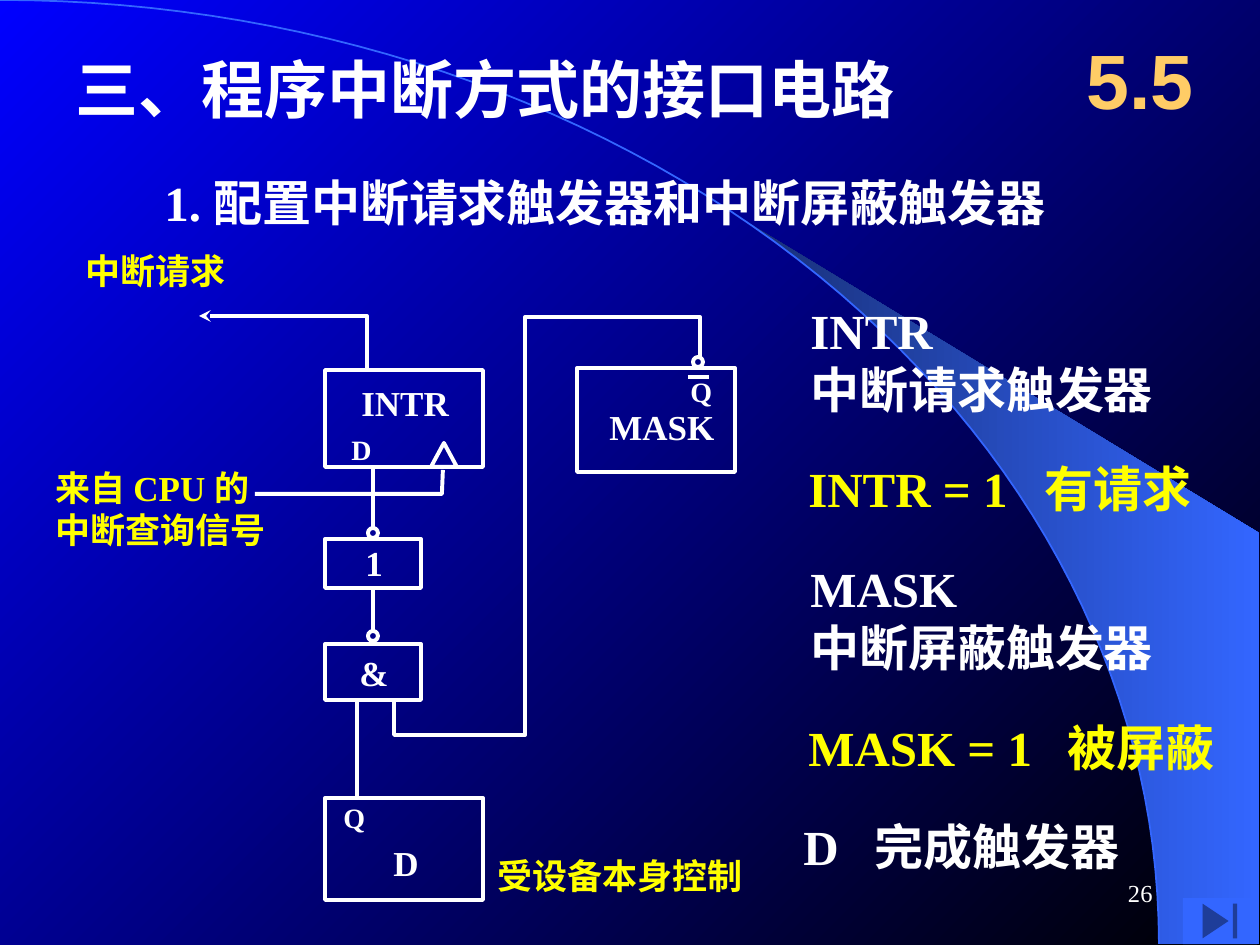
from dataclasses import dataclass
from math import asin, cos, pi, sin

from lxml import etree
from pptx import Presentation
from pptx.dml.color import RGBColor
from pptx.enum.shapes import MSO_CONNECTOR, MSO_SHAPE
from pptx.enum.text import MSO_ANCHOR, MSO_AUTO_SIZE, PP_ALIGN
from pptx.oxml.ns import qn
from pptx.util import Pt

PX = 914400 / 126
SLIDE_W, SLIDE_H = 1260, 945
ARC_W, ARC_H = 1159, 944


@dataclass(frozen=True)
class Theme:
    white: str = "FFFFFF"
    yellow: str = "FFFF00"
    gold: str = "FFCC66"
    blue: str = "3366FF"
    navy: str = "182F76"
    back_start: str = "0000FF"
    back_end: str = "000000"
    serif: str = "Times New Roman"
    sans: str = "Arial"
    title: int = 36
    chapter: int = 44
    heading: int = 28
    label: int = 20
    pin: int = 16
    number: int = 14
    wire: float = 2.25


T = Theme()


@dataclass(frozen=True)
class Label:
    text: str
    x: int
    y: int
    w: int
    h: int
    size: int = T.label
    color: str = T.white
    font: str = T.serif
    bold: bool = True
    align: PP_ALIGN = PP_ALIGN.LEFT
    anchor: MSO_ANCHOR = MSO_ANCHOR.TOP
    tab: int = 0


@dataclass(frozen=True)
class Part:
    x: int
    y: int
    w: int
    h: int
    kind: MSO_SHAPE = MSO_SHAPE.RECTANGLE


def bubble(x: int, y: int) -> Part:
    return Part(x, y, 10, 10, MSO_SHAPE.OVAL)


TITLE = Label("三、程序中断方式的接口电路", 63, 44, 870, 88, T.title)
LABELS = [
    Label("5.5", 1061, 21, 158, 116, T.chapter, T.gold, T.sans,
          align=PP_ALIGN.CENTER, anchor=MSO_ANCHOR.MIDDLE),
    Label("1. 配置中断请求触发器和中断屏蔽触发器", 152, 166, 950, 72, T.heading),
    Label("中断请求", 73, 243, 180, 55, color=T.yellow),
    Label("来自 CPU 的\n中断查询信号", 43, 460, 250, 97, color=T.yellow),
    Label("受设备本身控制", 485, 848, 285, 55, color=T.yellow),
    Label("INTR", 349, 375, 125, 55),
    Label("D", 339, 426, 50, 47, T.pin),
    Label("MASK", 597, 399, 138, 55),
    Label("Q", 678, 368, 50, 47, T.pin),
    Label("1", 353, 535, 45, 55),
    Label("&", 347, 645, 60, 55),
    Label("Q", 331, 794, 50, 47, T.pin),
    Label("D", 381, 835, 55, 55),
    Label("INTR\n中断请求触发器", 798, 294, 385, 131, T.heading),
    Label("INTR = 1\t有请求", 796, 452, 464, 72, T.heading, T.yellow, tab=236),
    Label("MASK = 1\t被屏蔽", 796, 711, 464, 72, T.heading, T.yellow, tab=259),
    Label("MASK\n中断屏蔽触发器", 798, 552, 385, 131, T.heading),
    Label("D\t完成触发器", 791, 810, 360, 72, T.heading, tab=71),
    Label("26", 903, 861, 262, 63, T.number, bold=False,
          align=PP_ALIGN.RIGHT, anchor=MSO_ANCHOR.MIDDLE),
]
PARTS = {
    "intr": Part(325, 370, 158, 97),
    "clock": Part(431, 443, 26, 24, MSO_SHAPE.ISOSCELES_TRIANGLE),
    "mask": Part(577, 368, 158, 104),
    "mask_bubble": bubble(693, 357),
    "not": Part(325, 539, 96, 49),
    "not_bubble": bubble(368, 528),
    "and": Part(325, 644, 96, 56),
    "and_bubble": bubble(368, 631),
    "done": Part(325, 798, 158, 102),
}
QUERY_WIRE = [(255, 494), (442, 494), (443, 470)]
MASK_WIRE = [(394, 700), (394, 735), (525, 735), (525, 317), (700, 317), (700, 358)]
REQUEST_WIRE = [(367, 369), (367, 316), (199, 316)]


def px(n: float) -> int:
    return round(n * PX)


def rgb(color: str) -> RGBColor:
    return RGBColor.from_string(color)


def set_gradient(fill, start: str, end: str, angle: int) -> None:
    fill.gradient()
    fill.gradient_angle = angle
    for stop, color in zip(fill.gradient_stops, (start, end)):
        stop.color.rgb = rgb(color)


def set_line(sp, color: str = T.white, width: float = T.wire) -> None:
    sp.line.color.rgb = rgb(color)
    sp.line.width = Pt(width)


def write(sp, label: Label) -> None:
    sp.left, sp.top, sp.width, sp.height = map(px, (label.x, label.y, label.w, label.h))
    tf = sp.text_frame
    tf.text = label.text
    tf.word_wrap = True
    tf.auto_size = MSO_AUTO_SIZE.NONE
    tf.vertical_anchor = label.anchor
    for p in tf.paragraphs:
        p.alignment = label.align
        if label.tab:
            tabs = etree.SubElement(p._p.get_or_add_pPr(), qn("a:tabLst"))
            etree.SubElement(tabs, qn("a:tab"), pos=str(px(label.tab)), algn="l")
        for r in p.runs:
            r.font.name = label.font
            r.font.size = Pt(label.size)
            r.font.bold = label.bold
            r.font.color.rgb = rgb(label.color)


def add_part(shapes, part: Part):
    sp = shapes.add_shape(part.kind, *map(px, (part.x, part.y, part.w, part.h)))
    sp.shadow.inherit = False
    sp.fill.background()
    set_line(sp)
    return sp


def add_path(shapes, points: list, close: bool = False):
    first, *rest = [(px(x), px(y)) for x, y in points]
    builder = shapes.build_freeform(*first)
    builder.add_line_segments(rest, close=close)
    sp = builder.convert_to_shape()
    sp.shadow.inherit = False
    sp.fill.background()
    set_line(sp)
    return sp


def add_wire(shapes, x1: int, y1: int, x2: int, y2: int):
    line = shapes.add_connector(MSO_CONNECTOR.STRAIGHT, *map(px, (x1, y1, x2, y2)))
    etree.SubElement(line._element.spPr, qn("a:effectLst"))
    set_line(line)
    return line


def arc_points(start: float, steps: int = 60) -> list:
    """Points of the quarter ellipse from angle start down to its right end."""
    angles = [start + (pi / 2 - start) * i / steps for i in range(steps + 1)]
    return [(ARC_W * sin(a), ARC_H * (1 - cos(a))) for a in angles]


def draw_backdrop(slide) -> None:
    set_gradient(slide.background.fill, T.back_start, T.back_end, 315)
    swoosh = add_path(slide.shapes, arc_points(asin(742 / ARC_W))
                      + [(1259, 944), (1259, 533)], close=True)
    set_gradient(swoosh.fill, T.navy, T.blue, 0)
    swoosh.line.fill.background()
    set_line(add_path(slide.shapes, arc_points(0)), T.blue, 1)


def draw_circuit(shapes) -> None:
    parts = {name: add_part(shapes, part) for name, part in PARTS.items()}
    add_wire(shapes, 357, 700, 357, 798)
    add_wire(shapes, 688, 377, 709, 377)
    add_wire(shapes, 373, 467, 373, 528).end_connect(parts["not_bubble"], 0)
    inverted = add_wire(shapes, 373, 588, 373, 631)
    inverted.begin_connect(parts["not"], 2)
    inverted.end_connect(parts["and_bubble"], 0)
    add_path(shapes, QUERY_WIRE)
    add_path(shapes, MASK_WIRE)
    request = add_path(shapes, REQUEST_WIRE)
    etree.SubElement(request.line._get_or_add_ln(), qn("a:tailEnd"), type="stealth")


def main() -> None:
    prs = Presentation()
    prs.slide_width, prs.slide_height = px(SLIDE_W), px(SLIDE_H)
    slide = prs.slides.add_slide(prs.slide_layouts[5])
    shapes = slide.shapes
    draw_backdrop(slide)
    write(shapes.title, TITLE)
    # The title is created first; bring it in front of the backdrop.
    shapes._spTree.append(shapes.title._element)
    draw_circuit(shapes)
    for label in LABELS:
        write(shapes.add_textbox(0, 0, 0, 0), label)
    button = add_part(shapes, Part(1183, 898, 74, 46, MSO_SHAPE.ACTION_BUTTON_END))
    button.fill.solid()
    button.fill.fore_color.rgb = rgb(T.blue)
    button.line.fill.background()
    prs.save("out.pptx")


if __name__ == "__main__":
    main()
